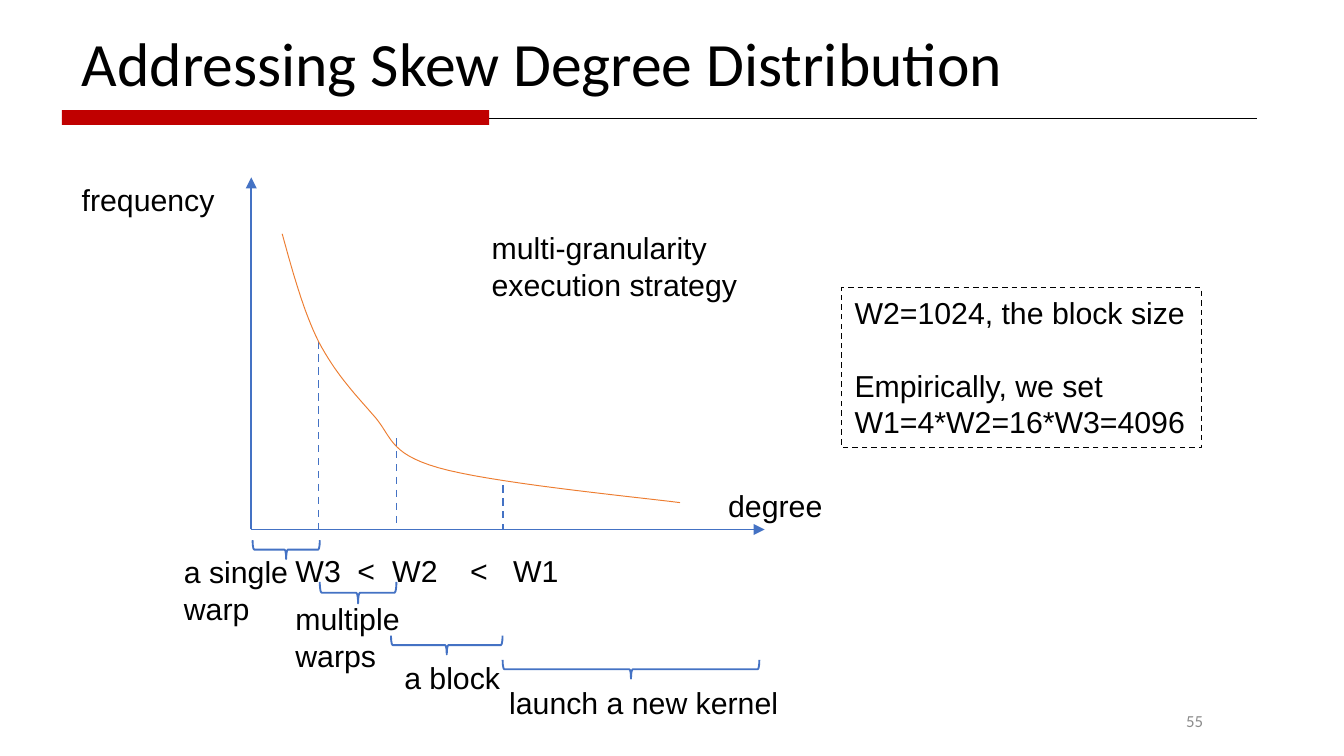
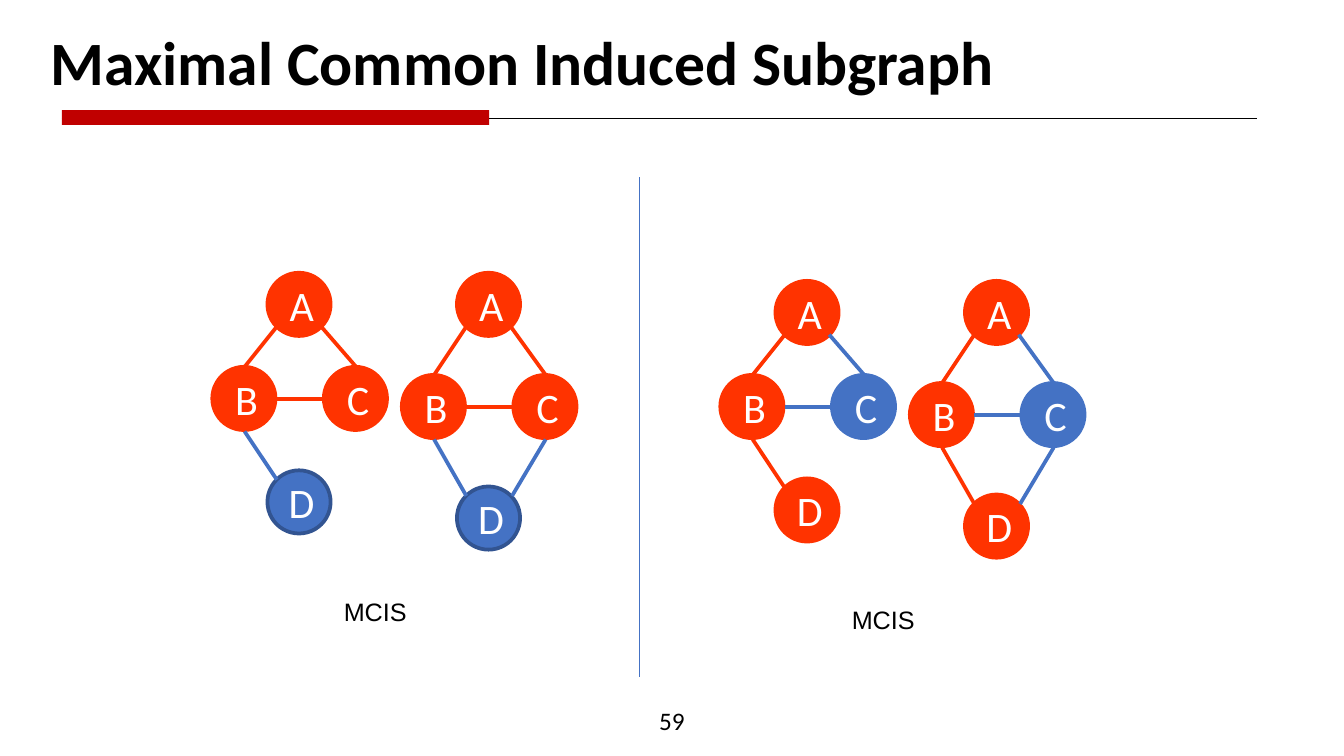
"""Two slides on skewed degree distributions and maximal common induced subgraphs."""
from lxml import etree
from pptx import Presentation, util as u
from pptx.dml.color import RGBColor
from pptx.enum import dml, shapes, text
from pptx.oxml import ns

COLOURS = {"ink": "000000", "band": "C00000", "blue": "4472C4", "navy": "325491",
           "curve": "ED7D31", "match": "FF3300", "grey": "8C8C8C", "white": "FFFFFF"}
RGB = {name: RGBColor.from_string(value) for name, value in COLOURS.items()}
TITLE = {"name": "Calibri", "size": u.Pt(33)}
LABEL = {"name": "Arial", "size": u.Pt(16.2)}
CAPTION = {"name": "Arial", "size": u.Pt(13.5)}
NODE = {"name": "Calibri", "size": u.Pt(22.5)}


def write(shape, lines, font, colour="ink", align="LEFT", anchor="TOP"):
    frame = shape.text_frame
    frame.word_wrap = True
    frame.vertical_anchor = getattr(text.MSO_ANCHOR, anchor)
    for index, line in enumerate(lines):
        paragraph = frame.paragraphs[0] if index == 0 else frame.add_paragraph()
        paragraph.text = line
        paragraph.alignment = getattr(text.PP_ALIGN, align)
        for attribute, value in font.items():
            setattr(paragraph.font, attribute, value)
        paragraph.font.color.rgb = RGB[colour]
    return frame


def connect(slide, start, end, colour, width, dashed=False, arrow=False):
    link = slide.shapes.add_connector(shapes.MSO_CONNECTOR.STRAIGHT,
                                      *[u.Inches(v) for v in (*start, *end)])
    link.line.color.rgb = RGB[colour]
    link.line.width = u.Pt(width)
    if dashed:
        link.line.dash_style = dml.MSO_LINE.DASH
    if arrow:
        etree.SubElement(link.line._get_or_add_ln(), ns.qn("a:tailEnd"), type="triangle")
    etree.SubElement(link._element.spPr, ns.qn("a:effectLst"))


deck = Presentation()
deck.slide_width = u.Inches(10)
deck.slide_height = u.Inches(10 * 9 / 16)

pages = []
for title, title_box, bold, number, number_box, number_size, number_colour, number_align in [
    ("Addressing Skew Degree Distribution", (0.51, -0.05, 8.62, 1.09), False,
     "55", (6.95, 5.21, 2.1, 0.3), 9, "grey", "RIGHT"),
    ("Maximal Common Induced Subgraph", (0.28, -0.02, 8.62, 1.02), True,
     "59", (3.31, 5.21, 3.38, 0.3), 13.5, "ink", "CENTER"),
]:
    page = deck.slides.add_slide(deck.slide_layouts[6])
    pages.append(page)
    connect(page, (0.46, 0.88), (9.35, 0.88), "ink", 0.5)
    band = page.shapes.add_shape(shapes.MSO_SHAPE.RECTANGLE,
                                 *map(u.Inches, (0.46, 0.82, 3.18, 0.11)))
    band.shadow.inherit = False
    band.fill.solid()
    band.fill.fore_color.rgb = RGB["band"]
    band.line.fill.background()
    heading = write(page.shapes.add_textbox(*map(u.Inches, title_box)), [title],
                    {**TITLE, "bold": bold}, anchor="MIDDLE")
    heading.paragraphs[0].line_spacing = 0.9
    write(page.shapes.add_textbox(*map(u.Inches, number_box)), [number],
          {"name": "Calibri", "size": u.Pt(number_size)}, number_colour, number_align, "MIDDLE")

skew, subgraph = pages

origin = (1.87, 3.94)
for axis_end in [(1.87, 1.32), (5.69, 3.94)]:
    connect(skew, origin, axis_end, "blue", 1, arrow=True)
for threshold, top in [(2.37, 2.54), (2.95, 3.26), (3.74, 3.61)]:
    connect(skew, (threshold, top), (threshold, origin[1]), "blue", 1, dashed=True)

knots = [(2.1, 1.74), (2.18, 2.03), (2.26, 2.32), (2.37, 2.54), (2.49, 2.77), (2.63, 2.92),
         (2.77, 3.08), (2.92, 3.24), (2.88, 3.37), (3.26, 3.48), (3.64, 3.59), (4.65, 3.69),
         (5.06, 3.74)]
steps = 16
curve_points = []
for first in range(0, len(knots) - 1, 3):
    for step in range(1, steps + 1):
        t = step / steps
        weights = ((1 - t) ** 3, 3 * t * (1 - t) ** 2, 3 * t * t * (1 - t), t ** 3)
        curve_points.append([u.Inches(sum(w * knot[axis] for w, knot in
                                          zip(weights, knots[first:first + 4])))
                             for axis in (0, 1)])
builder = skew.shapes.build_freeform(*map(u.Inches, knots[0]))
builder.add_line_segments(curve_points, close=False)
curve = builder.convert_to_shape()
curve.shadow.inherit = False
curve.fill.background()
curve.line.color.rgb = RGB["curve"]
curve.line.width = u.Pt(0.5)

for left, right, top, depth in [(1.88, 2.38, 4.02, 0.14), (2.38, 2.95, 4.33, 0.16),
                                (2.91, 3.74, 4.73, 0.14), (3.74, 5.65, 4.91, 0.14)]:
    span = right - left
    brace = skew.shapes.add_shape(
        shapes.MSO_SHAPE.LEFT_BRACE, u.Inches((left + right - depth) / 2),
        u.Inches(top + (depth - span) / 2), u.Inches(depth), u.Inches(span))
    brace.rotation = 270
    brace.shadow.inherit = False
    brace.fill.background()
    brace.line.color.rgb = RGB["blue"]
    brace.line.width = u.Pt(1)

for wording, box in [
    ("frequency", (0.51, 1.3, 1.37, 0.37)),
    ("degree", (5.32, 3.58, 0.94, 0.37)),
    ("multi-granularity execution strategy", (3.56, 1.66, 2.25, 0.65)),
    ("a single warp", (1.27, 4.07, 1, 0.65)),
    ("multiple warps", (2.1, 4.42, 1.33, 0.65)),
    ("a block", (2.91, 4.86, 1, 0.37)),
    ("launch a new kernel", (3.69, 5.04, 2.25, 0.37)),
]:
    write(skew.shapes.add_textbox(*map(u.Inches, box)), [wording], LABEL)

ordering = skew.shapes.add_textbox(*map(u.Inches, (2.1, 4.06, 2.92, 0.37)))
tab_list = etree.SubElement(ordering.text_frame.paragraphs[0]._p.get_or_add_pPr(),
                            ns.qn("a:tabLst"))
for stop in (0.46, 0.72, 1.3, 1.62):
    etree.SubElement(tab_list, ns.qn("a:tab"), pos=str(u.Inches(stop)), algn="l")
write(ordering, ["W3\t<\tW2\t<\tW1"], LABEL)

settings = skew.shapes.add_shape(shapes.MSO_SHAPE.RECTANGLE,
                                 *map(u.Inches, (6.26, 2.14, 2.68, 1.19)))
settings.shadow.inherit = False
settings.fill.background()
settings.line.color.rgb = RGB["ink"]
settings.line.width = u.Pt(0.75)
settings.line.dash_style = dml.MSO_LINE.DASH
rules = write(settings, ["W2=1024, the block size", "Empirically, we set",
                         "W1=4*W2=16*W3=4096"], LABEL)
rules.paragraphs[1].space_before = u.Pt(19.5)

connect(subgraph, (4.76, 1.32), (4.76, 5.04), "blue", 0.5)
diameter = 0.47
sites = {"top": (0.24, 0), "bottom": (0.24, 0.48), "left": (0, 0.24), "right": (0.48, 0.24),
         "top left": (0.07, 0.07), "top right": (0.41, 0.07),
         "bottom left": (0.07, 0.4), "bottom right": (0.4, 0.4)}
tree_edges = [("A", "bottom left", "B", "top"), ("A", "bottom right", "C", "top"),
              ("B", "right", "C", "left"), ("B", "bottom", "D", "top left")]
cycle_edges = tree_edges + [("C", "bottom", "D", "top right")]

for shift_x, shift_y, unmatched, outline in [(0, 0, "D", "navy"), (3.78, 0.06, "C", "blue")]:
    for apex_x, middle_drop, bottom_drop, edges in [(1.99, 0.7, 1.47, tree_edges),
                                                    (3.4, 0.76, 1.59, cycle_edges)]:
        x, y = apex_x + shift_x, 2.03 + shift_y
        nodes = {"A": (x, y), "B": (x - 0.41, y + middle_drop),
                 "C": (x + 0.42, y + middle_drop), "D": (x, y + bottom_drop)}
        for letter, (left, top) in nodes.items():
            matched = letter != unmatched
            node = subgraph.shapes.add_shape(shapes.MSO_SHAPE.OVAL, *map(
                u.Inches, (left, top, diameter, diameter)))
            node.shadow.inherit = False
            node.fill.solid()
            node.fill.fore_color.rgb = RGB["match" if matched else "blue"]
            node.line.color.rgb = RGB["match" if matched else outline]
            node.line.width = u.Pt(2)
            frame = write(node, [letter], NODE, "white", "CENTER", "MIDDLE")
            for side, inset in {"left": 0.04, "right": 0, "top": 0, "bottom": 0}.items():
                setattr(frame, f"margin_{side}", u.Inches(inset))
        for start, start_site, end, end_site in edges:
            ends = [[at + offset for at, offset in zip(nodes[letter], sites[site])]
                    for letter, site in ((start, start_site), (end, end_site))]
            connect(subgraph, *ends, "blue" if unmatched in (start, end) else "match", 2)
    write(subgraph.shapes.add_textbox(*map(
        u.Inches, (2.46 + shift_x, 4.39 + shift_y, 1.89, 0.33))), ["MCIS"], CAPTION)

deck.save("out.pptx")
